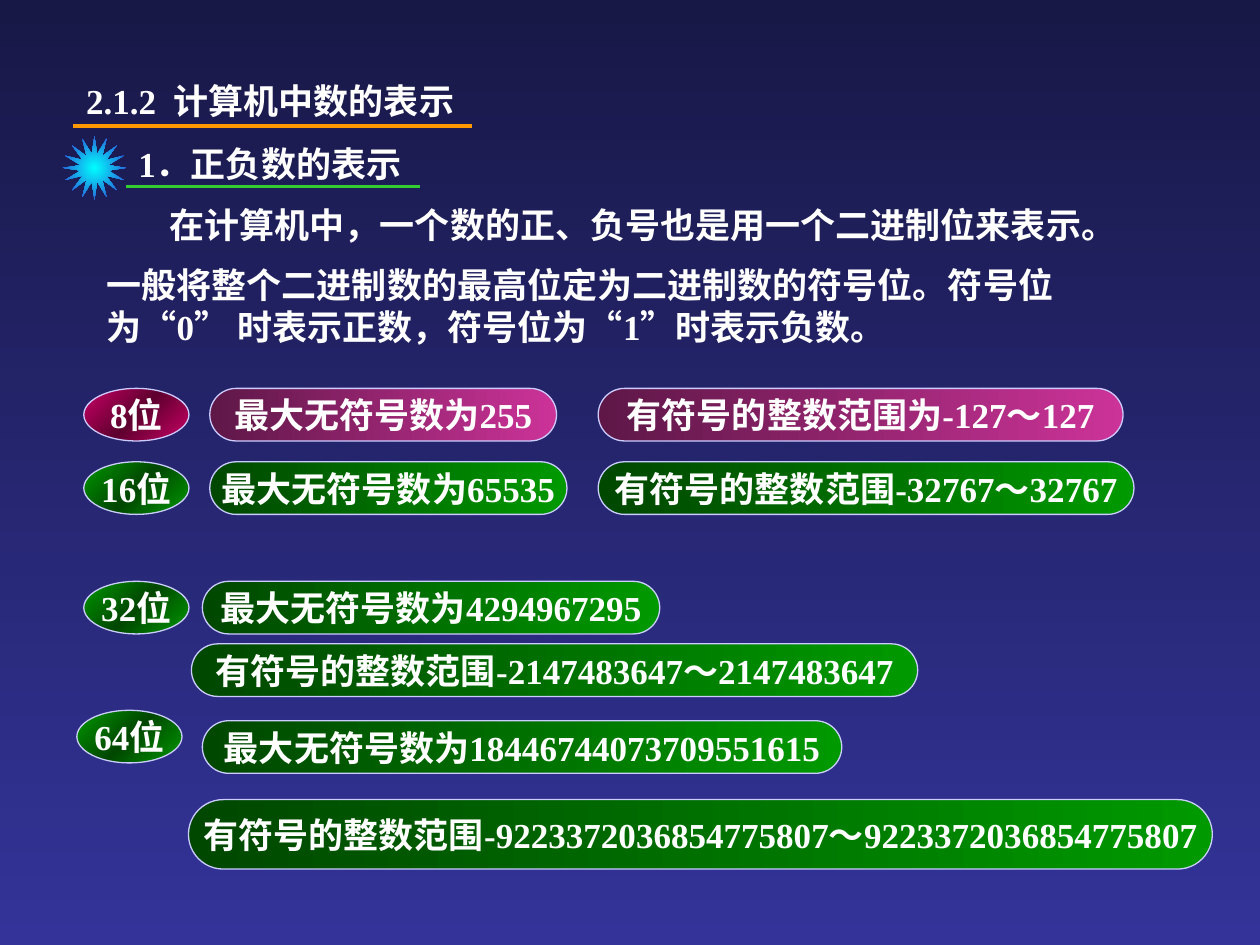
from lxml import etree
from pptx import Presentation
from pptx.dml.color import RGBColor
from pptx.enum.shapes import MSO_CONNECTOR, MSO_SHAPE
from pptx.enum.text import MSO_ANCHOR, PP_ALIGN
from pptx.oxml.ns import qn
from pptx.util import Cm, Pt

STRAIGHT = MSO_CONNECTOR.STRAIGHT
ELLIPSE = MSO_SHAPE.OVAL
PILL = MSO_SHAPE.ROUNDED_RECTANGLE
STAR = MSO_SHAPE.STAR_16_POINT
TOP = MSO_ANCHOR.TOP
MIDDLE = MSO_ANCHOR.MIDDLE
LEFT = PP_ALIGN.LEFT
CENTER = PP_ALIGN.CENTER

GREEN_PILL = ["004700", "009900"]
PINK_PILL = ["5E1747", "CC3399"]
GREEN_BADGE = ["009900", "004700", "009900"]
RED_BADGE = ["CC0066", "5E002F", "CC0066"]

ROW_HEIGHT = 1.06
BADGES = [
    ("8位", 1.69, 7.83, RED_BADGE),
    ("16位", 1.69, 9.31, GREEN_BADGE),
    ("32位", 1.69, 11.72, GREEN_BADGE),
    ("64位", 1.55, 14.32, GREEN_BADGE),
]
PILLS = [
    ("最大无符号数为255", 4.23, 7.83, 6.99, ROW_HEIGHT, PINK_PILL),
    ("有符号的整数范围为-127～127", 12.06, 7.83, 10.58, ROW_HEIGHT, PINK_PILL),
    ("最大无符号数为65535", 4.23, 9.31, 7.2, ROW_HEIGHT, GREEN_PILL),
    ("有符号的整数范围-32767～32767", 12.06, 9.31, 10.8, ROW_HEIGHT, GREEN_PILL),
    ("最大无符号数为4294967295", 4.08, 11.72, 9.22, ROW_HEIGHT, GREEN_PILL),
    ("有符号的整数范围-2147483647～2147483647",
     3.86, 12.98, 14.64, ROW_HEIGHT, GREEN_PILL),
    ("最大无符号数为18446744073709551615",
     4.08, 14.53, 12.89, ROW_HEIGHT, GREEN_PILL),
    ("有符号的整数范围-9223372036854775807～9223372036854775807",
     3.8, 16.12, 20.64, 1.4, GREEN_PILL),
]


def color(value):
    return RGBColor.from_string(value)


class SlideBuilder:
    font_name = "Times New Roman"
    font_size = Pt(20)
    text_color = "FFFFFF"
    outline_color = "CCCCFF"

    def __init__(self, presentation):
        self.slide = presentation.slides.add_slide(presentation.slide_layouts[5])

    def gradient(self, fill, element, colors, angle=0, radial=False):
        fill.gradient()
        gradient = element.find(".//" + qn("a:gradFill"))
        for child in list(gradient):
            gradient.remove(child)
        stops = etree.SubElement(gradient, qn("a:gsLst"))
        for index, value in enumerate(colors):
            position = 100000 * index // (len(colors) - 1)
            stop = etree.SubElement(stops, qn("a:gs"), pos=str(position))
            etree.SubElement(stop, qn("a:srgbClr"), val=value)
        if radial:
            center = etree.SubElement(gradient, qn("a:path"), {"path": "circle"})
            edges = dict.fromkeys("ltrb", "50000")
            etree.SubElement(center, qn("a:fillToRect"), edges)
        else:
            etree.SubElement(gradient, qn("a:lin"), ang=str(angle * 60000), scaled="0")

    def background(self, colors):
        self.gradient(self.slide.background.fill, self.slide.element, colors, 90)

    def set_text(self, shape, texts, alignment=LEFT, anchor=TOP, wrap=True):
        frame = shape.text_frame
        frame.text = "\n".join(texts)
        frame.word_wrap = wrap
        frame.vertical_anchor = anchor
        for index, paragraph in enumerate(frame.paragraphs):
            paragraph.alignment = alignment
            paragraph.space_before = Pt(10 if index else 0)
            paragraph.font.name = self.font_name
            paragraph.font.size = self.font_size
            paragraph.font.bold = True
            paragraph.font.color.rgb = color(self.text_color)
        return frame

    def title(self, text, left, top, width, height):
        title = self.slide.shapes.title
        title.left, title.top = Cm(left), Cm(top)
        title.width, title.height = Cm(width), Cm(height)
        self.set_text(title, [text])

    def text(self, texts, left, top, width, height, indent=0):
        box = self.slide.shapes.add_textbox(Cm(left), Cm(top), Cm(width), Cm(height))
        frame = self.set_text(box, texts)
        if indent:
            properties = frame.paragraphs[0]._p.get_or_add_pPr()
            properties.set("indent", str(Cm(indent)))

    def underline(self, left, top, width, line_color):
        line = self.slide.shapes.add_connector(
            STRAIGHT, Cm(left), Cm(top), Cm(left + width), Cm(top))
        line.line.color.rgb = color(line_color)
        line.line.width = Pt(2.25)
        etree.SubElement(line.element.spPr, qn("a:effectLst"))

    def shape(self, kind, left, top, width, height, colors, angle=0, radial=False):
        shape = self.slide.shapes.add_shape(
            kind, Cm(left), Cm(top), Cm(width), Cm(height))
        shape.shadow.inherit = False
        self.gradient(shape.fill, shape.element, colors, angle, radial)
        return shape

    def outline(self, shape):
        shape.line.color.rgb = color(self.outline_color)
        shape.line.width = Pt(0.75)

    def star(self, left, top, size, colors):
        star = self.shape(STAR, left, top, size, size, colors, radial=True)
        star.adjustments[0] = 0.22
        star.line.fill.background()

    def pill(self, text, left, top, width, height, colors):
        pill = self.shape(PILL, left, top, width, height, colors)
        pill.adjustments[0] = 0.5
        self.outline(pill)
        self.set_text(pill, [text], CENTER, MIDDLE, wrap=False)

    def badge(self, text, left, top, colors):
        badge = self.shape(ELLIPSE, left, top, 2.12, ROW_HEIGHT, colors, angle=45)
        self.outline(badge)
        frame = self.set_text(badge, [text], CENTER, MIDDLE, wrap=False)
        frame.margin_left = frame.margin_right = Cm(0.1)
        frame.margin_top = frame.margin_bottom = 0


def main():
    presentation = Presentation()
    presentation.slide_width = Cm(25.4)
    presentation.slide_height = Cm(19.05)

    builder = SlideBuilder(presentation)
    builder.background(["181847", "333399"])
    builder.title("2.1.2  计算机中数的表示", 1.48, 1.48, 8.26, 1.1)
    builder.underline(1.48, 2.54, 8.04, "FF9900")
    builder.star(1.27, 2.75, 1.27, ["00FFFF", "3333CC"])
    builder.text(["1．正负数的表示"], 2.54, 2.75, 6.77, 1.1)
    builder.underline(2.54, 3.76, 5.93, "33CC33")
    builder.text([
        "在计算机中，一个数的正、负号也是用一个二进制位来表示。",
        "一般将整个二进制数的最高位定为二进制数的符号位。符号位"
        "为“0” 时表示正数，符号位为“1”时表示负数。",
    ], 1.9, 3.98, 21.38, 3.25, indent=1.27)
    for badge in BADGES:
        builder.badge(*badge)
    for pill in PILLS:
        builder.pill(*pill)

    presentation.save("out.pptx")


if __name__ == "__main__":
    main()
